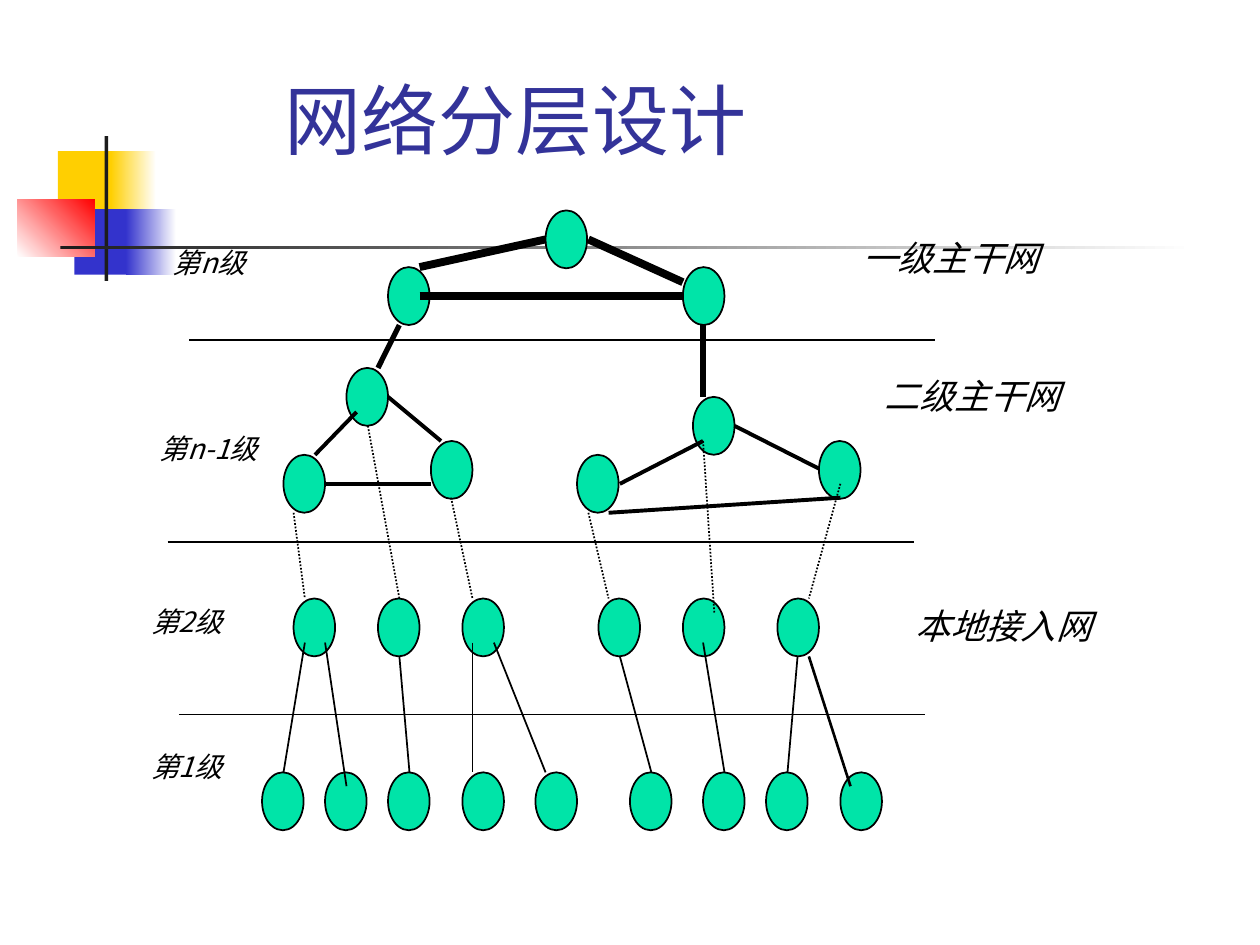
"""Build a slide showing a layered network design."""
from lxml import etree
from pptx import Presentation
from pptx.dml.color import RGBColor
from pptx.enum.dml import MSO_LINE
from pptx.enum.shapes import MSO_CONNECTOR, MSO_SHAPE
from pptx.enum.text import MSO_ANCHOR
from pptx.oxml.ns import qn
from pptx.util import Inches, Pt

RECTANGLE, OVAL = MSO_SHAPE.RECTANGLE, MSO_SHAPE.OVAL
STRAIGHT, DOTTED = MSO_CONNECTOR.STRAIGHT, MSO_LINE.ROUND_DOT
TOP, BOTTOM = MSO_ANCHOR.TOP, MSO_ANCHOR.BOTTOM

BLACK = RGBColor(0, 0, 0)
WHITE = RGBColor(0xFF, 0xFF, 0xFF)
YELLOW = RGBColor(0xFF, 0xCF, 0x01)
BLUE = RGBColor(0x33, 0x33, 0xCC)
RED = RGBColor(0xFF, 0, 0)
CHARCOAL = RGBColor(0x1C, 0x1C, 0x1C)
GREEN = RGBColor(0, 0xE4, 0xA8)
NAVY = RGBColor(0x33, 0x33, 0x99)

TITLE_FONT, LABEL_FONT = "Arial", "Noto Sans CJK SC"
NODE_WIDTH, NODE_HEIGHT = 0.33, 0.46

DECORATION = [
    ((0.46, 1.2, 0.48, 0.52), (YELLOW,), 0),
    ((0.88, 1.2, 0.36, 0.52), (YELLOW, WHITE), 0),
    ((0.59, 1.66, 0.46, 0.52), (BLUE,), 0),
    ((1, 1.66, 0.4, 0.52), (BLUE, WHITE), 0),
    ((0.14, 1.58, 0.61, 0.46), (WHITE, RED), 45),
    ((0.83, 1.08, 0.03, 1.15), (CHARCOAL,), 0),
    ((0.48, 1.95, 9, 0.03), (CHARCOAL, WHITE), 0),
]

NODE_ROWS = [
    (1.67, [4.33]),
    (2.12, [3.08, 5.42]),
    (2.92, [2.75]),
    (3.15, [5.5]),
    (3.5, [3.42, 6.5]),
    (3.61, [2.25, 4.58]),
    (4.75, [2.33, 3, 3.67, 4.75, 5.42, 6.17]),
    (6.13, [2.08, 2.58, 3.08, 3.67, 4.25, 5, 5.58, 6.08, 6.67]),
]

LINKS = [
    (4.5, None, [(3.33, 2.12, 4.33, 1.9), (4.67, 1.9, 5.42, 2.24),
                 (3.33, 2.35, 5.42, 2.35)]),
    (3, None, [(3.17, 2.58, 3, 2.92), (5.58, 2.58, 5.58, 3.15)]),
    (2.25, None, [(2.5, 3.61, 2.83, 3.27), (3.08, 3.15, 3.5, 3.5),
                  (2.58, 3.84, 3.42, 3.84), (5.58, 3.5, 4.92, 3.84),
                  (5.83, 3.38, 6.5, 3.72), (4.83, 4.07, 6.67, 3.95)]),
    (1, DOTTED, [(2.33, 4.07, 2.42, 4.75), (2.92, 3.38, 3.17, 4.75),
                 (3.58, 3.95, 3.75, 4.75), (4.67, 4.07, 4.83, 4.75),
                 (5.58, 3.5, 5.67, 4.87), (6.67, 3.84, 6.42, 4.75)]),
    (1, None, [(2.42, 5.1, 2.25, 6.13), (2.58, 5.1, 2.75, 6.24),
               (3.17, 5.21, 3.25, 6.13), (3.75, 5.1, 3.75, 6.13),
               (3.92, 5.1, 4.33, 6.13), (4.92, 5.21, 5.17, 6.13),
               (5.58, 5.1, 5.75, 6.13), (6.33, 5.21, 6.25, 6.13)]),
    (1.5, None, [(6.42, 5.21, 6.75, 6.24)]),
]

TIER_BOUNDARIES = [(1.5, 2.7), (1.42, 5.67), (1.33, 4.3)]
BOUNDARY_LENGTH = 5.92

LEVELS = [
    ("第1级", (1.1, 5.9, 0.88, 0.37), False),
    ("第2级", (1.1, 4.75, 0.88, 0.37), False),
    ("第n-1级", (1.17, 3.38, 1.15, 0.37), False),
    ("第n级", (1.27, 1.9, 0.85, 0.37), True),
]
NETWORKS = [("一级主干网", 6.75, 1.83), ("二级主干网", 6.92, 2.92),
            ("本地接入网", 7.17, 4.75)]


class NetworkSlide:
    def __init__(self, slide):
        self.slide = slide

    def shape(self, kind, box, colors, angle=0, outlined=False):
        shape = self.slide.shapes.add_shape(kind, *map(Inches, box))
        shape.shadow.inherit = False
        if len(colors) == 1:
            shape.fill.solid()
            shape.fill.fore_color.rgb = colors[0]
        else:
            shape.fill.gradient()
            shape.fill.gradient_angle = angle
            for position, (stop, color) in enumerate(zip(shape.fill.gradient_stops, colors)):
                stop.position = position
                stop.color.rgb = color
        if outlined:
            shape.line.color.rgb = BLACK
            shape.line.width = Pt(1)
        else:
            shape.line.fill.background()

    def node(self, left, top):
        self.shape(OVAL, (left, top, NODE_WIDTH, NODE_HEIGHT), (GREEN,), outlined=True)

    def link(self, ends, weight, dash=None):
        link = self.slide.shapes.add_connector(STRAIGHT, *map(Inches, ends))
        link.line.color.rgb = BLACK
        link.line.width = Pt(weight)
        if dash:
            link.line.dash_style = dash
        etree.SubElement(link._element.spPr, qn("a:effectLst"))

    def text(self, words, box, size, font=LABEL_FONT, color=BLACK,
             italic=True, anchor=TOP, wrap=False):
        frame = self.slide.shapes.add_textbox(*map(Inches, box)).text_frame
        frame.word_wrap = wrap
        frame.vertical_anchor = anchor
        paragraph = frame.paragraphs[0]
        paragraph.text = words
        paragraph.font.name = font
        paragraph.font.size = Pt(size)
        paragraph.font.italic = italic
        paragraph.font.color.rgb = color


def main():
    presentation = Presentation()
    presentation.slide_width, presentation.slide_height = Inches(10), Inches(7.5)
    network = NetworkSlide(presentation.slides.add_slide(presentation.slide_layouts[6]))

    for box, colors, angle in DECORATION:
        network.shape(RECTANGLE, box, colors, angle)
    network.text("网络分层设计", (2.16, 0.36, 5.81, 1), 44, TITLE_FONT, NAVY,
                 italic=False, anchor=BOTTOM, wrap=True)

    for top, lefts in NODE_ROWS:
        for left in lefts:
            network.node(left, top)
    for weight, dash, routes in LINKS:
        for ends in routes:
            network.link(ends, weight, dash)
    for left, top in TIER_BOUNDARIES:
        network.link((left, top, left + BOUNDARY_LENGTH, top), 1)

    for words, box, wrap in LEVELS:
        network.text(words, box, 16, wrap=wrap)
    for words, left, top in NETWORKS:
        network.text(words, (left, top, 1.59, 0.44), 20)

    presentation.save("out.pptx")


if __name__ == "__main__":
    main()
